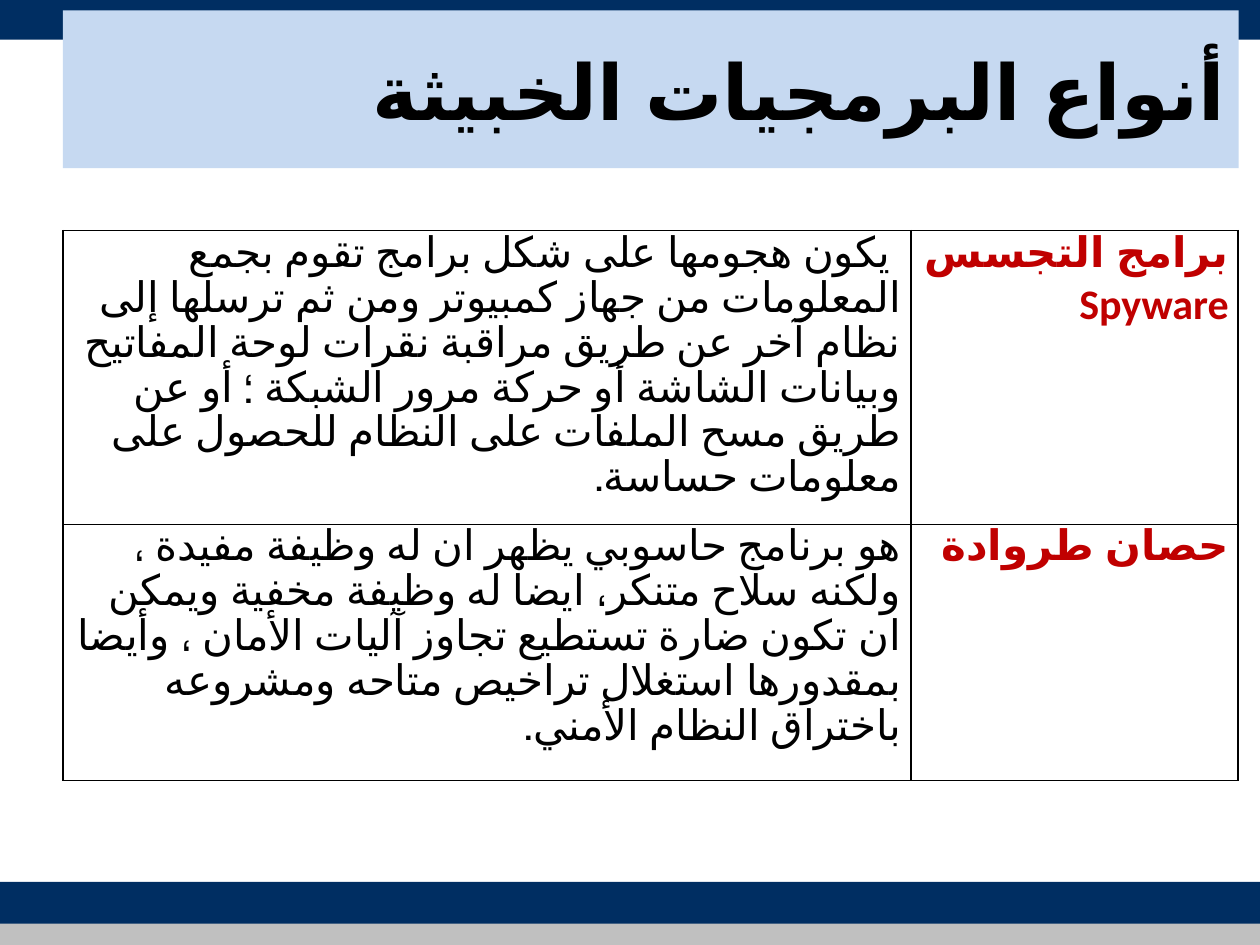
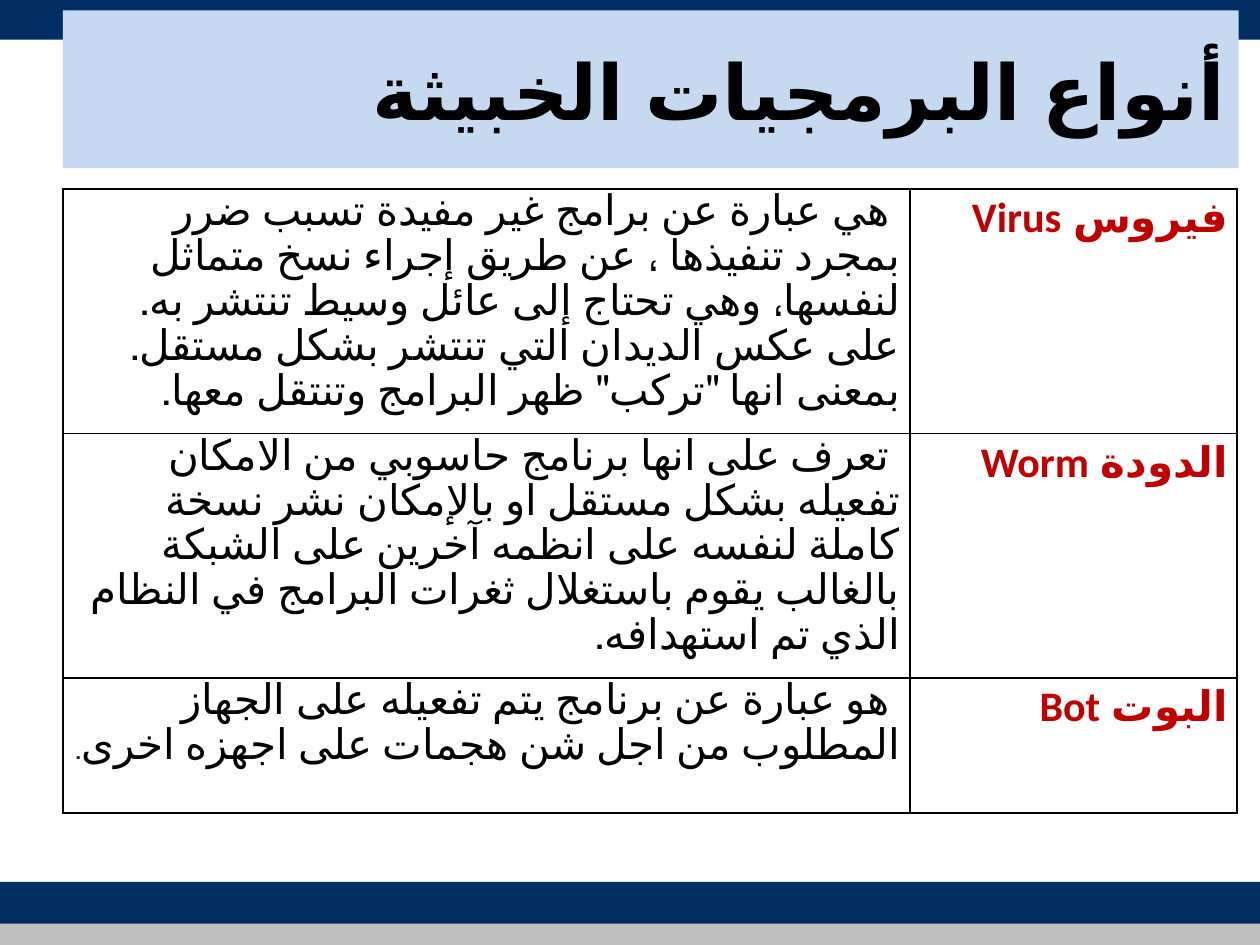
import pptx
import pptx.dml.color
import pptx.enum.lang
import pptx.enum.shapes
import pptx.enum.text
import pptx.oxml
import pptx.oxml.ns
import pptx.util
from pptx.util import Cm

COLORS = {
    "navy": "002E62",
    "silver": "C0C0C0",
    "title_band": "C6D9F1",
    "black": "000000",
    "label": "C00000",
    "stop": "212121",
}

TITLE = "أنواع البرمجيات الخبيثة"

# Each row: runs of the definition, label, height in cm.
# A run is plain text or a pair of text and its own format.
SLIDES = [
    {
        "top": 4.65,
        "columns": (17.09, 6.6),
        "font": "Arial",
        "rows": [
            ([" يكون هجومها على شكل برامج تقوم بجمع المعلومات من جهاز كمبيوتر ومن ثم ترسلها إلى "
              "نظام آخر عن طريق مراقبة نقرات لوحة المفاتيح وبيانات الشاشة أو حركة مرور الشبكة ؛ "
              "أو عن طريق مسح الملفات على النظام للحصول على معلومات حساسة."],
             "برامج التجسس Spyware", 5.92),
            (["هو برنامج حاسوبي يظهر ان له وظيفة مفيدة ، ولكنه سلاح متنكر، ايضا له وظيفة مخفية "
              "ويمكن ان تكون ضارة تستطيع تجاوز آليات الأمان ، وأيضا بمقدورها استغلال تراخيص "
              "متاحه ومشروعه باختراق النظام الأمني."],
             "حصان طروادة", 5.16),
        ],
    },
    {
        "top": 3.81,
        "columns": (17.07, 6.6),
        "font": "Calibri",
        "rows": [
            ([" هي عبارة عن برامج غير مفيدة تسبب ضرر بمجرد تنفيذها ، عن طريق إجراء نسخ متماثل "
              "لنفسها، وهي تحتاج إلى عائل وسيط تنتشر به. على عكس الديدان التي تنتشر بشكل مستقل. "
              "بمعنى انها \"تركب\" ظهر البرامج وتنتقل معها."],
             "فيروس Virus", 4.93),
            ([" تعرف على انها برنامج حاسوبي من الامكان تفعيله بشكل مستقل او بالإمكان نشر نسخة "
              "كاملة لنفسه على انظمه آخرين على الشبكة بالغالب يقوم باستغلال ثغرات البرامج في "
              "النظام الذي تم استهدافه."],
             "الدودة Worm", 4.93),
            ([" هو عبارة عن برنامج يتم تفعيله على الجهاز المطلوب من اجل شن هجمات على اجهزه اخرى",
              (".", {"size": 16, "font": "Lato", "color": "stop"})],
             "البوت Bot", 2.72),
        ],
    },
]

SLIDE_WIDTH, SLIDE_HEIGHT = 25.4, 19.05
LEFT = 1.27
TITLE_BOX = (LEFT, 0.21, 23.7, 3.18)
BANDS = [
    (17.78, 0.85, "navy"),
    (-0.05, 0.85, "navy"),
    (18.62, 0.43, "silver"),
]


def rgb(name):
    return pptx.dml.color.RGBColor.from_string(COLORS[name])


def write_text(text_frame, runs, size=24, font="Calibri", color="black", bold=False,
               line_spacing=None):
    """Write one right-to-left paragraph; a run may override the common format."""
    text_frame.word_wrap = True
    paragraph = text_frame.paragraphs[0]
    paragraph.alignment = pptx.enum.text.PP_ALIGN.RIGHT
    paragraph._p.get_or_add_pPr().set("rtl", "1")
    if line_spacing:
        paragraph.line_spacing = line_spacing
    for item in runs:
        text, own_format = (item, {}) if isinstance(item, str) else item
        run = paragraph.add_run()
        run.text = text
        run.font.language_id = pptx.enum.lang.MSO_LANGUAGE_ID.ARABIC
        run.font.size = pptx.util.Pt(own_format.get("size", size))
        run.font.name = own_format.get("font", font)
        run.font.color.rgb = rgb(own_format.get("color", color))
        run.font.bold = bold


def add_band(slide, left, top, width, height, color):
    shape = slide.shapes.add_shape(pptx.enum.shapes.MSO_SHAPE.RECTANGLE,
                                   Cm(left), Cm(top), Cm(width), Cm(height))
    shape.shadow.inherit = False
    shape.fill.solid()
    shape.fill.fore_color.rgb = rgb(color)
    shape.line.fill.background()
    return shape


def set_borders(cell, color="black", width=1):
    properties = cell._tc.get_or_add_tcPr()
    for position, side in enumerate(("lnL", "lnR", "lnT", "lnB")):
        border = pptx.oxml.parse_xml(
            f'<a:{side} {pptx.oxml.ns.nsdecls("a")} w="{pptx.util.Pt(width)}">'
            f'<a:solidFill><a:srgbClr val="{COLORS[color]}"/></a:solidFill></a:{side}>')
        properties.insert(position, border)


def fill_cell(cell, runs, **text_format):
    cell.margin_left = cell.margin_right = Cm(0.19)
    cell.margin_top = cell.margin_bottom = 0
    cell.fill.background()
    set_borders(cell)
    write_text(cell.text_frame, runs, line_spacing=1.07, **text_format)


def add_definitions(slide, content):
    rows, columns = content["rows"], content["columns"]
    height = sum(row[2] for row in rows)
    table = slide.shapes.add_table(len(rows), len(columns), Cm(LEFT), Cm(content["top"]),
                                   Cm(sum(columns)), Cm(height)).table
    table.first_row = table.horz_banding = False
    for column, width in zip(table.columns, columns):
        column.width = Cm(width)
    for index, (definition, label, row_height) in enumerate(rows):
        table.rows[index].height = Cm(row_height)
        fill_cell(table.cell(index, 0), definition, font=content["font"])
        fill_cell(table.cell(index, 1), [label], color="label", bold=True)


def add_slide(presentation, content):
    slide = presentation.slides.add_slide(presentation.slide_layouts[6])
    for top, height, color in BANDS:
        add_band(slide, 0, top, SLIDE_WIDTH, height, color)
    title = add_band(slide, *TITLE_BOX, "title_band")
    title.text_frame.vertical_anchor = pptx.enum.text.MSO_ANCHOR.MIDDLE
    write_text(title.text_frame, [TITLE], size=44, bold=True)
    add_definitions(slide, content)


def main():
    presentation = pptx.Presentation()
    presentation.slide_width = Cm(SLIDE_WIDTH)
    presentation.slide_height = Cm(SLIDE_HEIGHT)
    for content in SLIDES:
        add_slide(presentation, content)
    presentation.save("out.pptx")


if __name__ == "__main__":
    main()
